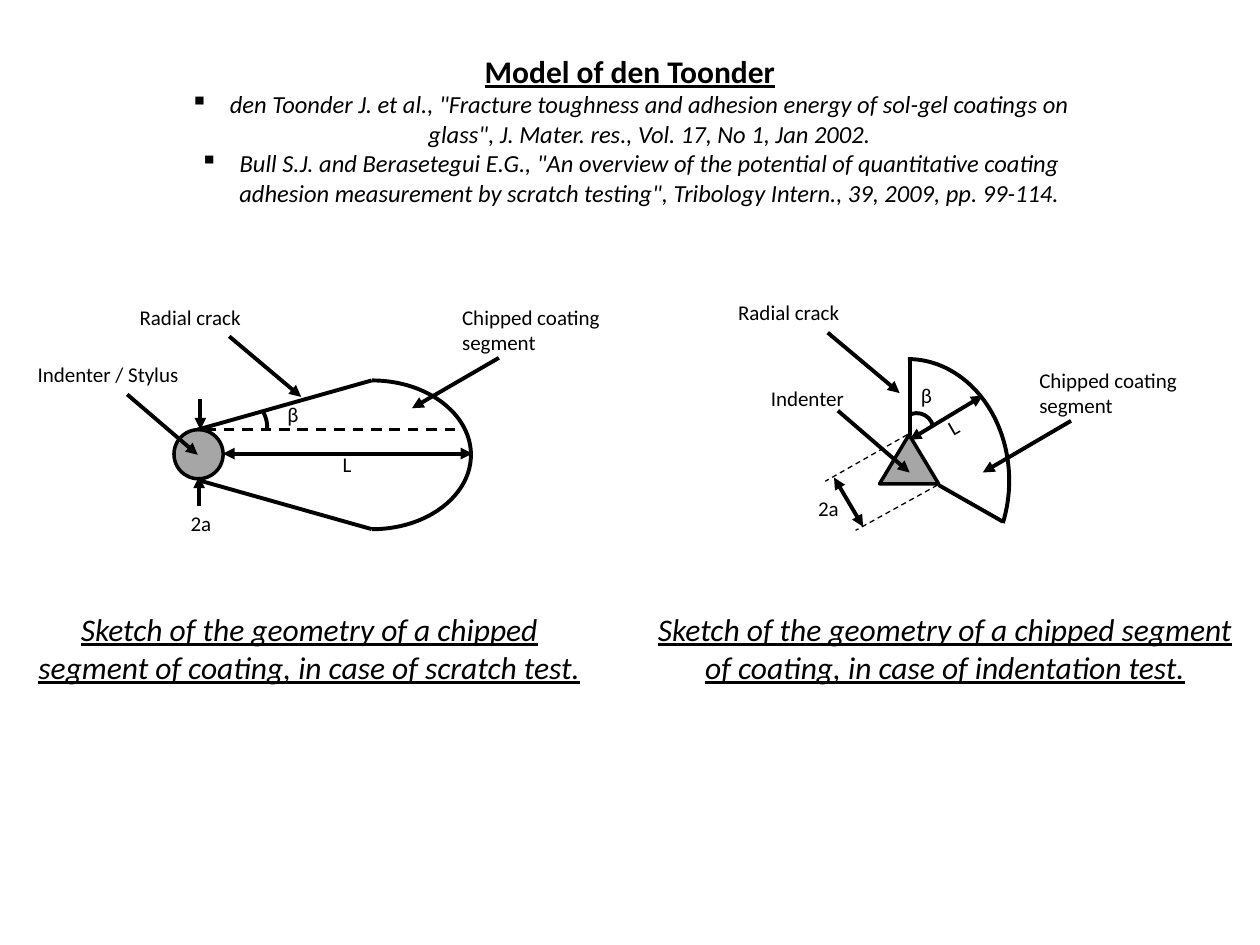
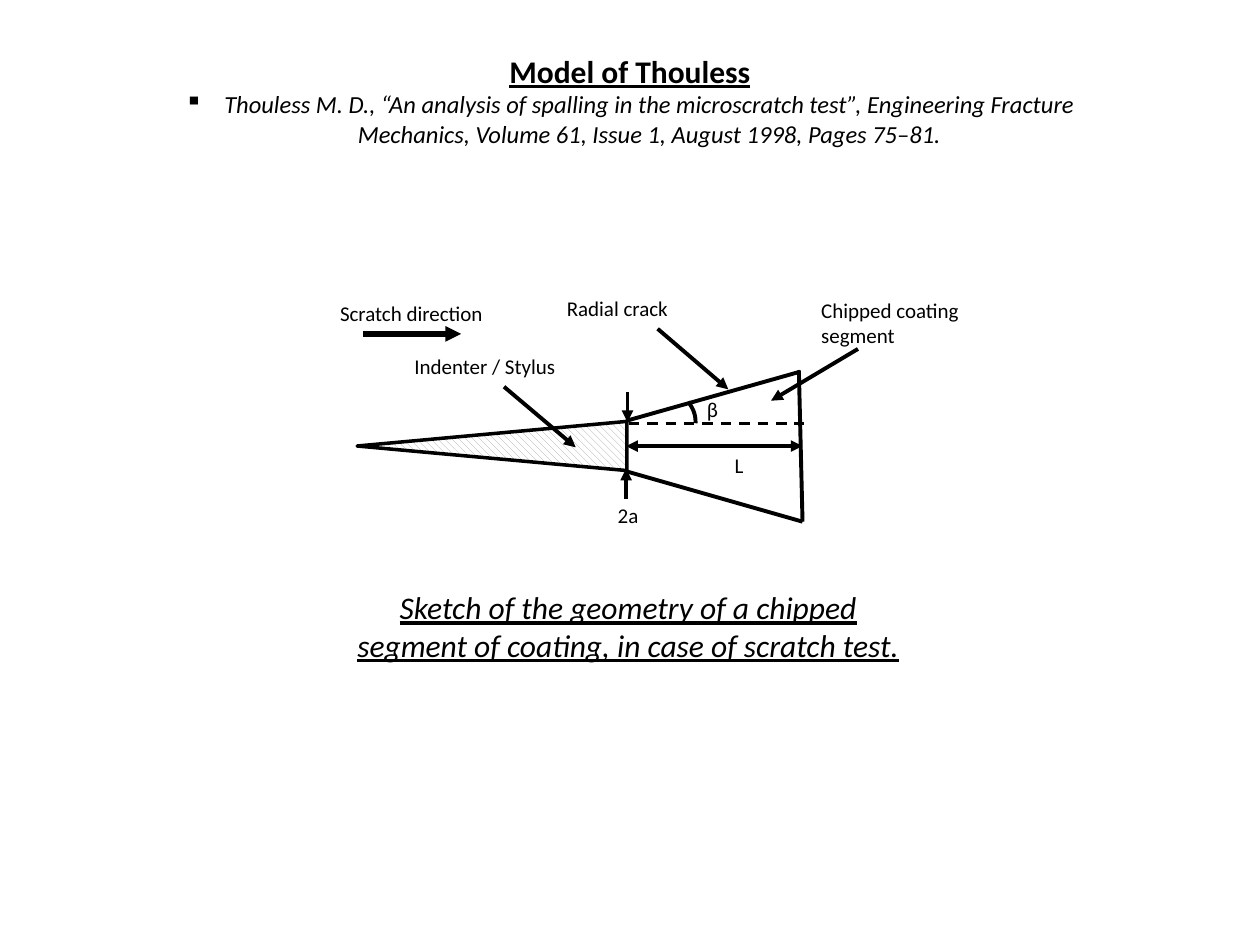
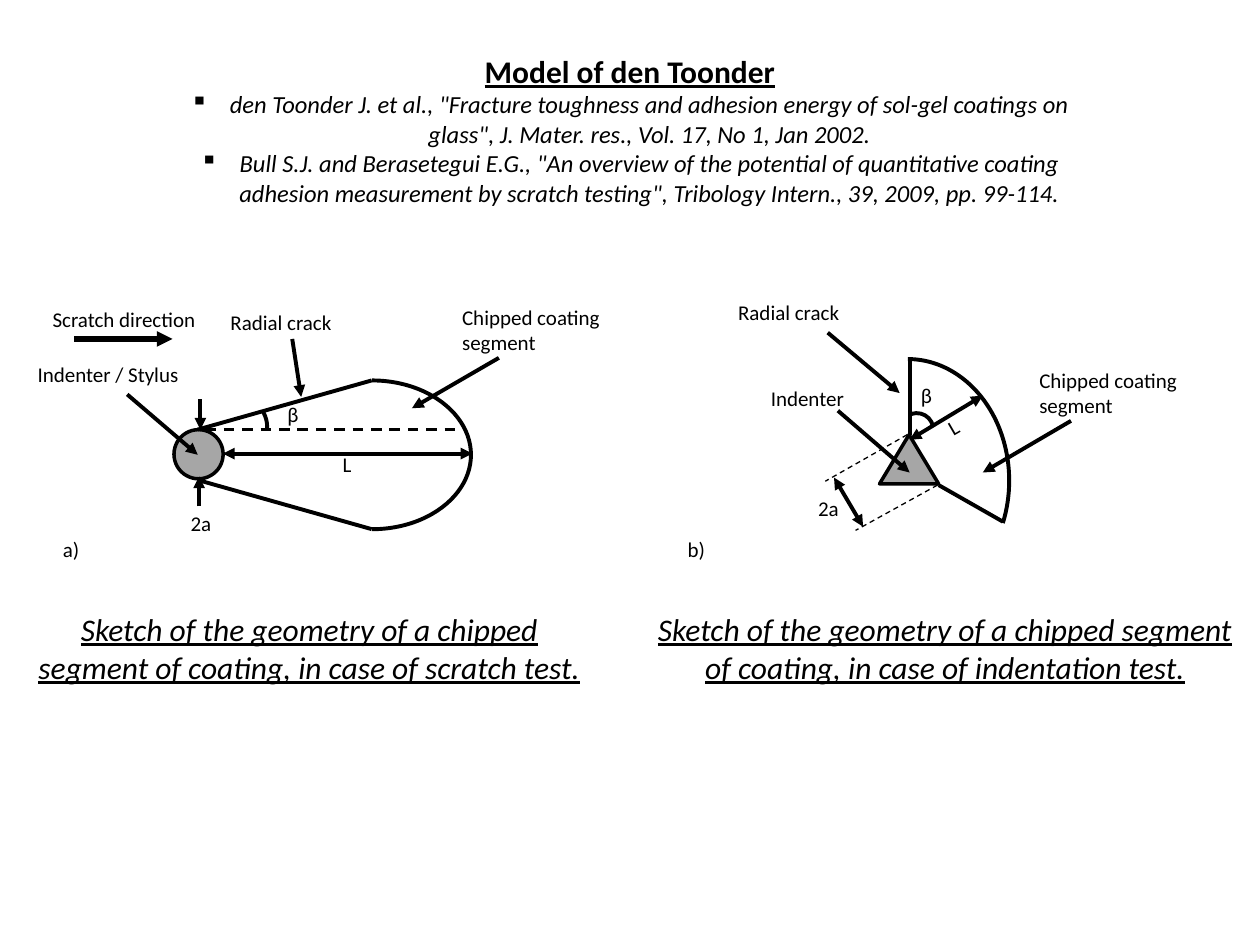
from dataclasses import dataclass

from lxml.etree import SubElement
from pptx import Presentation
from pptx.dml.color import RGBColor
from pptx.enum.dml import MSO_LINE, MSO_PATTERN
from pptx.enum.shapes import MSO_CONNECTOR, MSO_SHAPE
from pptx.enum.text import MSO_AUTO_SIZE, PP_ALIGN
from pptx.oxml.ns import qn
from pptx.util import Pt


@dataclass(frozen=True)
class Theme:
    """Colours, type and line weights shared by all slides."""
    ink: RGBColor = RGBColor(0, 0, 0)
    paper: RGBColor = RGBColor(255, 255, 255)
    grey: RGBColor = RGBColor(0xA6, 0xA6, 0xA6)
    font: str = "Calibri"
    label_size: int = 12
    reference_size: int = 14
    title_size: int = 18
    outline: float = 2
    stroke: float = 2.25
    dashed: float = 1.5
    hairline: float = 0.75
    heavy: float = 3


theme = Theme()

# Text styles: size, bold, italic, underline
TEXT_STYLES = {
    "label": (theme.label_size, False, False, False),
    "title": (theme.title_size, True, False, True),
    "reference": (theme.reference_size, False, True, False),
    "caption": (theme.title_size, False, True, True),
}
# Line styles: weight, dashed, ends that carry an arrowhead
LINE_STYLES = {
    "edge": (theme.stroke, False, ()),
    "arrow": (theme.stroke, False, ("tailEnd",)),
    "measure": (theme.stroke, False, ("headEnd", "tailEnd")),
    "axis": (theme.dashed, True, ()),
    "guide": (theme.hairline, True, ()),
    "direction": (theme.heavy, False, ("tailEnd",)),
}
LEFT, CENTER = PP_ALIGN.LEFT, PP_ALIGN.CENTER
LABEL_WIDTH, LABEL_HEIGHT = 113, 21.6
CAPTION_TOP, CAPTION_HEIGHT = 344.9, 51.1
INDENT = 22.5


def draw_line(page, start, end, style):
    """Draw a straight line in one of the named line styles."""
    weight, dashed, arrow_ends = LINE_STYLES[style]
    line = page.shapes.add_connector(
        MSO_CONNECTOR.STRAIGHT, *(Pt(value) for value in (*start, *end)))
    line.line.color.rgb = theme.ink
    line.line.width = Pt(weight)
    if dashed:
        line.line.dash_style = MSO_LINE.DASH
    properties = line._element.spPr
    for arrow_end in arrow_ends:
        SubElement(properties.find(qn("a:ln")), qn("a:" + arrow_end), type="triangle")
    SubElement(properties, qn("a:effectLst"))


def write(page, frame, lines, align, rotation=0):
    """Add a text box; lines are (text, style) pairs, references get bullets."""
    box = page.shapes.add_textbox(*(Pt(value) for value in frame))
    box.rotation = rotation
    box.text_frame.word_wrap = True
    box.text_frame.auto_size = MSO_AUTO_SIZE.SHAPE_TO_FIT_TEXT
    box.text_frame.text = "\n".join(text for text, style in lines)
    for para, (text, style) in zip(box.text_frame.paragraphs, lines):
        para.alignment = align
        if style == "reference":
            properties = para._p.get_or_add_pPr()
            properties.set("marL", str(Pt(INDENT)))
            properties.set("indent", str(-Pt(INDENT)))
            SubElement(properties, qn("a:buChar"), char="▪")
        font = para.runs[0].font
        size, font.bold, font.italic, font.underline = TEXT_STYLES[style]
        font.size = Pt(size)
        font.name = theme.font
        font.color.rgb = theme.ink


# Sketches. shapes: preset, frame, rotation, hatched
# arcs: frame, start and end in degrees, rotation
# lines: start, end, style; labels: text, corner, alignment, rotation
SCRATCH_CAPTION = ("Sketch of the geometry of a chipped segment of coating, "
                   "in case of scratch test.")
drop = {
    "shapes": [(MSO_SHAPE.OVAL, (99.4, 245.5, 28.1, 28.1), 0, False)],
    "arcs": [
        ((156.2, 217.4, 113, 85), 270, 90.17, 0),
        ((121.7, 227.5, 31, 33.1), 323.28, 5.89, 0),
    ],
    "lines": [
        ((113, 245.5), (212.4, 217.4), "edge"),
        ((113, 274.3), (212.4, 302.4), "edge"),
        ((72.7, 225.4), (113, 259.9), "arrow"),
        ((285.1, 204.5), (235.4, 233.3), "arrow"),
        ((127.4, 259.2), (270, 259.2), "measure"),
        ((114.5, 228.2), (114.5, 245.5), "arrow"),
        ((113.8, 289.4), (113.8, 272.2), "arrow"),
        ((117.4, 245.5), (263.5, 245.5), "axis"),
    ],
    "labels": [
        ("Indenter / Stylus", (14.4, 203), LEFT, 0),
        ("Chipped coating segment", (257, 170.6), LEFT, 0),
        ("L", (141.8, 254.2), CENTER, 0),
        ("β", (110.9, 226.1), CENTER, 0),
        ("2a", (58.3, 288), CENTER, 0),
    ],
    "captions": [(SCRATCH_CAPTION, (14.4, CAPTION_TOP, 324.7, CAPTION_HEIGHT))],
}
sector = {
    "shapes": [(MSO_SHAPE.ISOSCELES_TRIANGLE, (502.6, 248.4, 33.8, 28.1), 0, False)],
    "arcs": [
        ((460.8, 205.2, 115.9, 139), 270, 24.03, 0),
        ((511.9, 236.9, 22.3, 20.2), 310.32, 43.4, 300),
    ],
    "lines": [
        ((519.8, 248.4), (519.8, 205.9), "edge"),
        ((573.1, 298.1), (536.4, 277.2), "edge"),
        ((478.8, 234.7), (519.8, 270), "arrow"),
        ((519.8, 251.3), (561.6, 226.1), "measure"),
        ((612, 240.5), (561.6, 270), "arrow"),
        ((473, 190.1), (514.1, 224.6), "arrow"),
        ((476.6, 272.9), (493.2, 301), "measure"),
        ((518.4, 248.4), (471.6, 275), "guide"),
        ((535.7, 277.2), (488.9, 303.1), "guide"),
    ],
    "labels": [
        ("Indenter", (433.4, 216.7), LEFT, 0),
        ("Chipped coating segment", (586.8, 206.6), LEFT, 0),
        ("Radial crack", (414.7, 167.8), LEFT, 0),
        ("L", (488.2, 233.3), CENTER, 330),
        ("β", (473, 215.3), CENTER, 0),
        ("2a", (416.9, 279.4), CENTER, 0),
    ],
    "captions": [("Sketch of the geometry of a chipped segment of coating, "
                  "in case of indentation test.",
                  (360, CAPTION_TOP, 360, CAPTION_HEIGHT))],
}
wedge = {
    "shapes": [(MSO_SHAPE.ISOSCELES_TRIANGLE, (267.1, 177.8, 28.1, 154.1), 270, True)],
    "arcs": [((366.5, 224.6, 31, 33.1), 314.54, 2.74, 0)],
    "lines": [
        ((357.8, 240.5), (457.2, 212.4), "edge"),
        ((357.8, 269.3), (458.6, 298.1), "edge"),
        ((456.5, 211.7), (458.6, 298.1), "edge"),
        ((490.3, 199.4), (440.6, 229), "arrow"),
        ((375.8, 187.9), (416.2, 222.5), "arrow"),
        ((288, 221), (329, 255.6), "arrow"),
        ((357.8, 254.9), (458.6, 254.9), "measure"),
        ((358.6, 223.9), (358.6, 241.2), "arrow"),
        ((357.8, 285.1), (357.8, 267.8), "arrow"),
        ((359.3, 241.9), (459.4, 241.9), "axis"),
        ((207.4, 190.8), (263.5, 190.8), "direction"),
    ],
    "labels": [
        ("Chipped coating segment", (462.2, 166.3), LEFT, 0),
        ("Radial crack", (316.8, 165.6), LEFT, 0),
        ("Indenter / Stylus", (229.7, 198.7), LEFT, 0),
        ("Scratch direction", (178.6, 168.5), CENTER, 0),
        ("L", (365.8, 254.9), CENTER, 0),
        ("β", (350.6, 223.2), CENTER, 0),
        ("2a", (302.4, 283.7), CENTER, 0),
    ],
    "captions": [(SCRATCH_CAPTION, (196.6, 332.6, 324.7, CAPTION_HEIGHT))],
}
# What the two den Toonder slides do not share
crack_note = {
    "lines": [((131, 192.2), (172.1, 226.8), "arrow")],
    "labels": [("Radial crack", (72.7, 170.6), LEFT, 0)],
}
direction_notes = {
    "lines": [
        ((167, 193.7), (172.1, 226.8), "arrow"),
        ((42.5, 193.7), (98.6, 193.7), "direction"),
    ],
    "labels": [
        ("Radial crack", (124.6, 173.5), LEFT, 0),
        ("Scratch direction", (14.4, 171.4), CENTER, 0),
        ("a)", (28.8, 303.1), LEFT, 0),
        ("b)", (385.9, 303.1), LEFT, 0),
    ],
}

TOONDER_HEADING = [
    ("Model of den Toonder", "title"),
    ('den Toonder J. et al., "Fracture toughness and adhesion energy of sol-gel '
     'coatings on glass", J. Mater. res., Vol. 17, No 1, Jan 2002.', "reference"),
    ('Bull S.J. and Berasetegui E.G., "An overview of the potential of quantitative '
     'coating adhesion measurement by scratch testing", Tribology Intern., 39, 2009, '
     'pp. 99-114.', "reference"),
]
THOULESS_HEADING = [
    ("Model of Thouless", "title"),
    ("Thouless M. D., “An analysis of spalling in the microscratch test”, Engineering "
     "Fracture Mechanics, Volume 61, Issue 1, August 1998, Pages 75–81.", "reference"),
]
slides = [
    (TOONDER_HEADING, [drop, sector, crack_note]),
    (THOULESS_HEADING, [wedge]),
    (TOONDER_HEADING, [drop, sector, direction_notes]),
]

deck = Presentation()
deck.slide_width, deck.slide_height = Pt(720), Pt(540)

for heading, sketches in slides:
    page = deck.slides.add_slide(deck.slide_layouts[6])
    heading_height = 29.6 + 33.8 * (len(heading) - 1)
    write(page, (97.2, 25.9, 525.6, heading_height), heading, CENTER)

    for sketch in sketches:
        for preset, frame, rotation, hatched in sketch.get("shapes", []):
            indenter = page.shapes.add_shape(preset, *(Pt(value) for value in frame))
            indenter.rotation = rotation
            indenter.shadow.inherit = False
            if hatched:
                indenter.fill.patterned()
                indenter.fill.pattern = MSO_PATTERN.WIDE_DOWNWARD_DIAGONAL
                indenter.fill.back_color.rgb = theme.paper
            else:
                indenter.fill.solid()
            indenter.fill.fore_color.rgb = theme.grey
            indenter.line.color.rgb = theme.ink
            indenter.line.width = Pt(theme.outline)

        for frame, start, end, rotation in sketch.get("arcs", []):
            arc = page.shapes.add_shape(MSO_SHAPE.ARC, *(Pt(value) for value in frame))
            arc.rotation = rotation
            arc.shadow.inherit = False
            arc.fill.background()
            arc.line.color.rgb = theme.ink
            arc.line.width = Pt(theme.stroke)
            # Angles are stored in 60000ths of a degree, adjustments in 100000ths
            arc.adjustments[0], arc.adjustments[1] = start * 0.6, end * 0.6

        for start, end, style in sketch["lines"]:
            draw_line(page, start, end, style)
        for text, corner, align, rotation in sketch["labels"]:
            write(page, (*corner, LABEL_WIDTH, LABEL_HEIGHT), [(text, "label")],
                  align, rotation)
        for text, frame in sketch.get("captions", []):
            write(page, frame, [(text, "caption")], CENTER)

deck.save("out.pptx")
